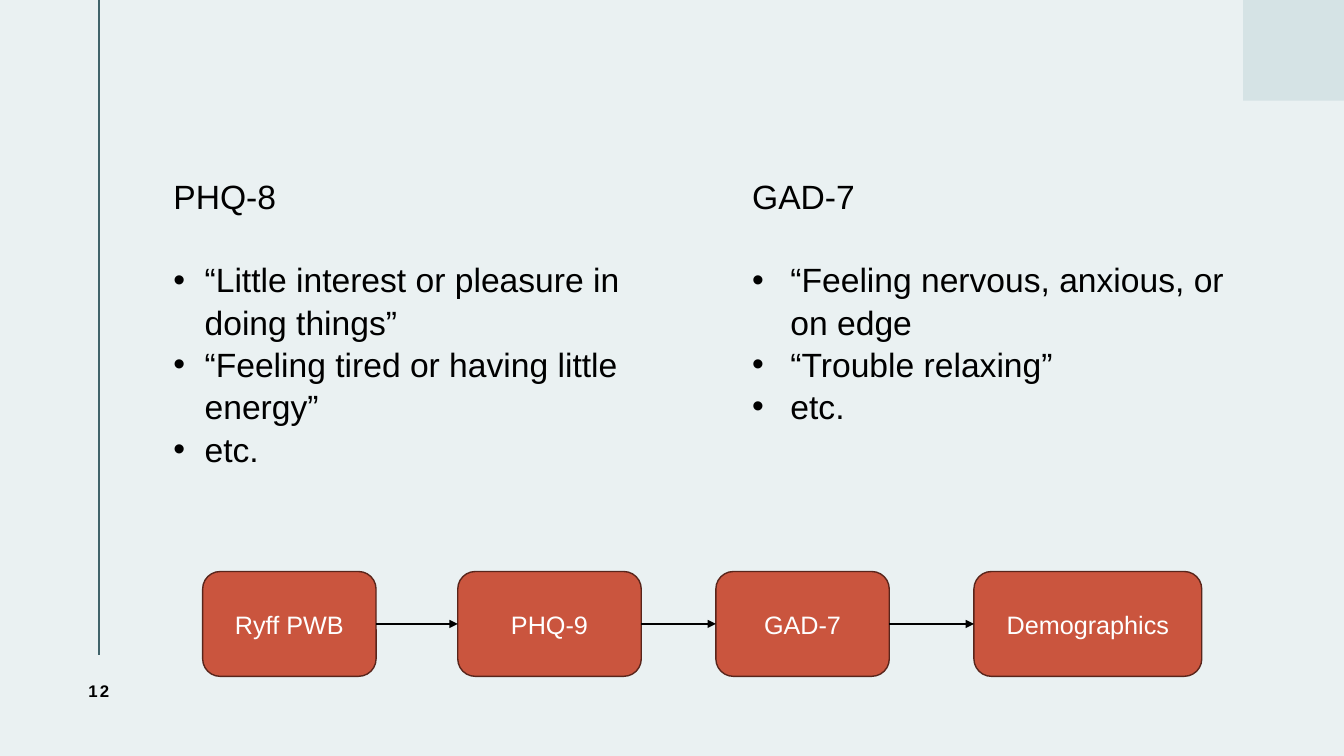
from lxml.etree import SubElement
from pptx import Presentation
from pptx.dml.color import RGBColor
from pptx.enum.shapes import MSO_CONNECTOR, MSO_SHAPE
from pptx.enum.text import MSO_ANCHOR, MSO_AUTO_SIZE, PP_ALIGN
from pptx.oxml.ns import qn
from pptx.util import Inches, Pt

BACKGROUND = RGBColor(0xEA, 0xF1, 0xF2)
CORNER = RGBColor(0xD5, 0xE3, 0xE5)
RULE = RGBColor(0x40, 0x63, 0x6A)
STEP_FILL = RGBColor(0xCA, 0x55, 0x3E)
STEP_LINE = RGBColor(0x59, 0x25, 0x1B)
BLACK = RGBColor(0, 0, 0)
WHITE = RGBColor(0xFF, 0xFF, 0xFF)


class SurveySlide:
    """Holds the slide and the style shared by its elements."""

    font_name = "Arial"

    def __init__(self, deck):
        self.page = deck.slides.add_slide(deck.slide_layouts[3])
        self.shapes = self.page.shapes
        fill = self.page.background.fill
        fill.solid()
        fill.fore_color.rgb = BACKGROUND

    def style(self, para, size, color, bold=False):
        for span in para.runs:
            span.font.name = self.font_name
            span.font.size = Pt(size)
            span.font.color.rgb = color
            span.font.bold = bold

    def place(self, shape, left, top, width, height):
        shape.left, shape.top = Inches(left), Inches(top)
        shape.width, shape.height = Inches(width), Inches(height)

    def block(self, kind, left, top, width, height, fill):
        box = self.shapes.add_shape(
            kind, Inches(left), Inches(top), Inches(width), Inches(height))
        box.shadow.inherit = False
        box.fill.solid()
        box.fill.fore_color.rgb = fill
        box.line.fill.background()
        return box

    def label(self, box, text, size, color, bold=False):
        frame = box.text_frame
        frame.word_wrap = True
        frame.vertical_anchor = MSO_ANCHOR.MIDDLE
        frame.text = text
        para = frame.paragraphs[0]
        para.alignment = PP_ALIGN.CENTER
        self.style(para, size, color, bold)

    def step(self, text, left, top, width, height):
        box = self.block(MSO_SHAPE.ROUNDED_RECTANGLE, left, top, width, height, STEP_FILL)
        box.line.color.rgb = STEP_LINE
        box.line.width = Pt(1)
        self.label(box, text, 18, WHITE)
        return box

    def line(self, start, end, color):
        connector = self.shapes.add_connector(
            MSO_CONNECTOR.STRAIGHT, *map(Inches, start), *map(Inches, end))
        connector.line.color.rgb = color
        connector.line.width = Pt(1.5)
        SubElement(connector._element.spPr, qn("a:effectLst"))
        return connector

    def arrow(self, source, target):
        connector = self.line((0, 0), (1, 0), BLACK)
        connector.begin_connect(source, 3)
        connector.end_connect(target, 1)
        SubElement(connector.line._get_or_add_ln(), qn("a:tailEnd"), type="triangle")

    def number(self, text, left, top, width, height):
        box = self.shapes.add_textbox(
            Inches(left), Inches(top), Inches(width), Inches(height))
        self.label(box, text, 12, BLACK, bold=True)
        box.text_frame.paragraphs[0].runs[0].font._element.set("spc", "150")

    def question_list(self, body, heading, items, area, inset, indent):
        self.place(body, *area)
        frame = body.text_frame
        frame.auto_size = MSO_AUTO_SIZE.NONE
        frame.word_wrap = True
        frame.vertical_anchor = MSO_ANCHOR.TOP
        frame.margin_left = Inches(inset)
        frame.text = "\n".join([heading, *items])
        for index, para in enumerate(frame.paragraphs):
            properties = para._p.get_or_add_pPr()
            hang = Inches(indent) if index else 0
            properties.set("marL", str(hang))
            properties.set("indent", str(-hang))
            if index:
                SubElement(properties, qn("a:buFont"), typeface="Arial")
                SubElement(properties, qn("a:buChar"), char="•")
            else:
                SubElement(properties, qn("a:buNone"))
            para.line_spacing = 1.05
            # The first item stands one line below the heading
            para.space_before = Pt(29 if index == 1 else 0)
            self.style(para, 24, BLACK)


def main():
    deck = Presentation()
    deck.slide_width, deck.slide_height = Inches(13.33), Inches(7.5)
    slide = SurveySlide(deck)
    title, left_body, right_body = list(slide.page.placeholders)[:3]
    title._element.getparent().remove(title._element)

    # Frame: side rule, corner square and slide number
    slide.line((0.98, 0), (0.98, 6.5), RULE)
    slide.block(MSO_SHAPE.RECTANGLE, 12.33, 0, 1, 1, CORNER)
    slide.number("12", 0.45, 6.5, 1.06, 0.71)

    # Questionnaire examples
    slide.question_list(
        left_body, "PHQ-8",
        ["“Little interest or pleasure in doing things”",
         "“Feeling tired or having little energy”", "etc."],
        (1.62, 1.68, 4.77, 2.93), 0.1, 0.31)
    slide.question_list(
        right_body, "GAD-7",
        ["“Feeling nervous, anxious, or on edge", "“Trouble relaxing”", "etc."],
        (7.46, 1.68, 5.04, 3.32), 0, 0.38)

    # Survey sequence
    steps = [slide.step(text, left, 5.67, width, 1.04) for text, left, width in (
        ("Ryff PWB", 2.01, 1.72), ("PHQ-9", 4.54, 1.82),
        ("GAD-7", 7.1, 1.72), ("Demographics", 9.66, 2.26))]
    for source, target in zip(steps, steps[1:]):
        slide.arrow(source, target)

    deck.save("out.pptx")


if __name__ == "__main__":
    main()
